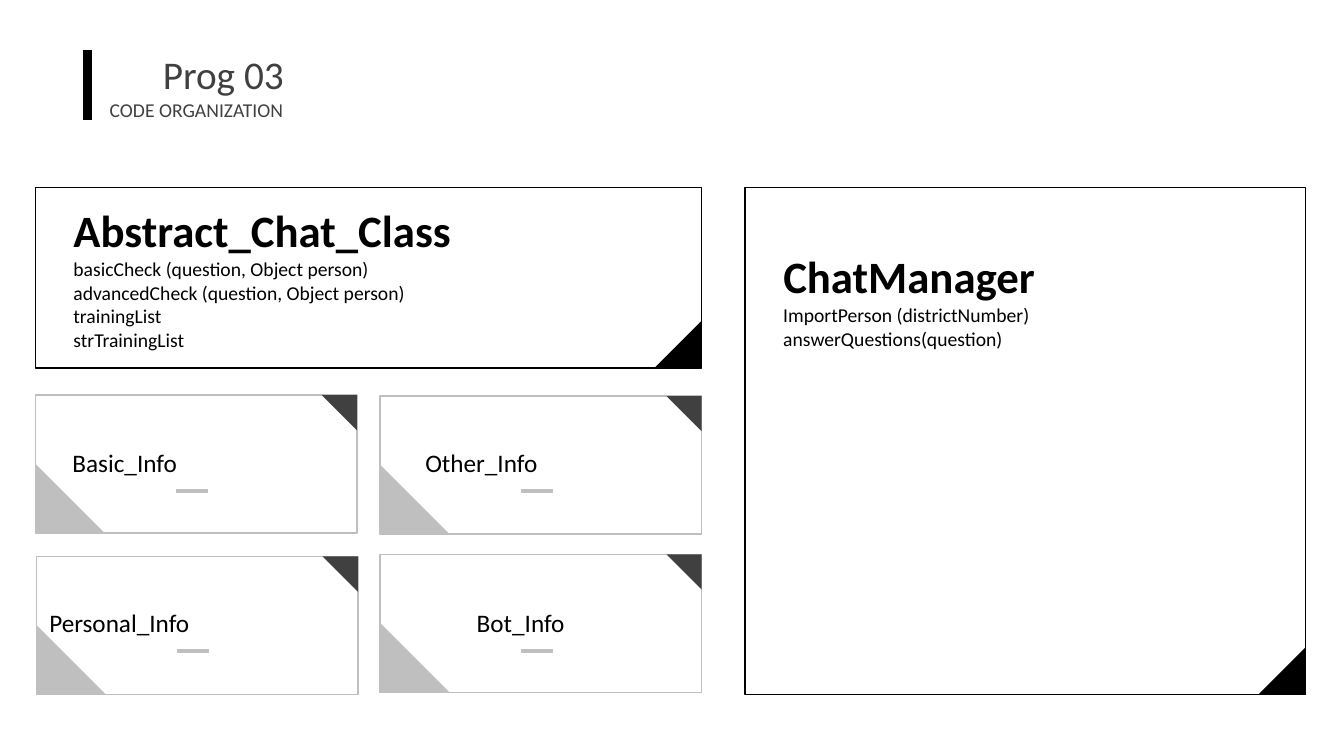
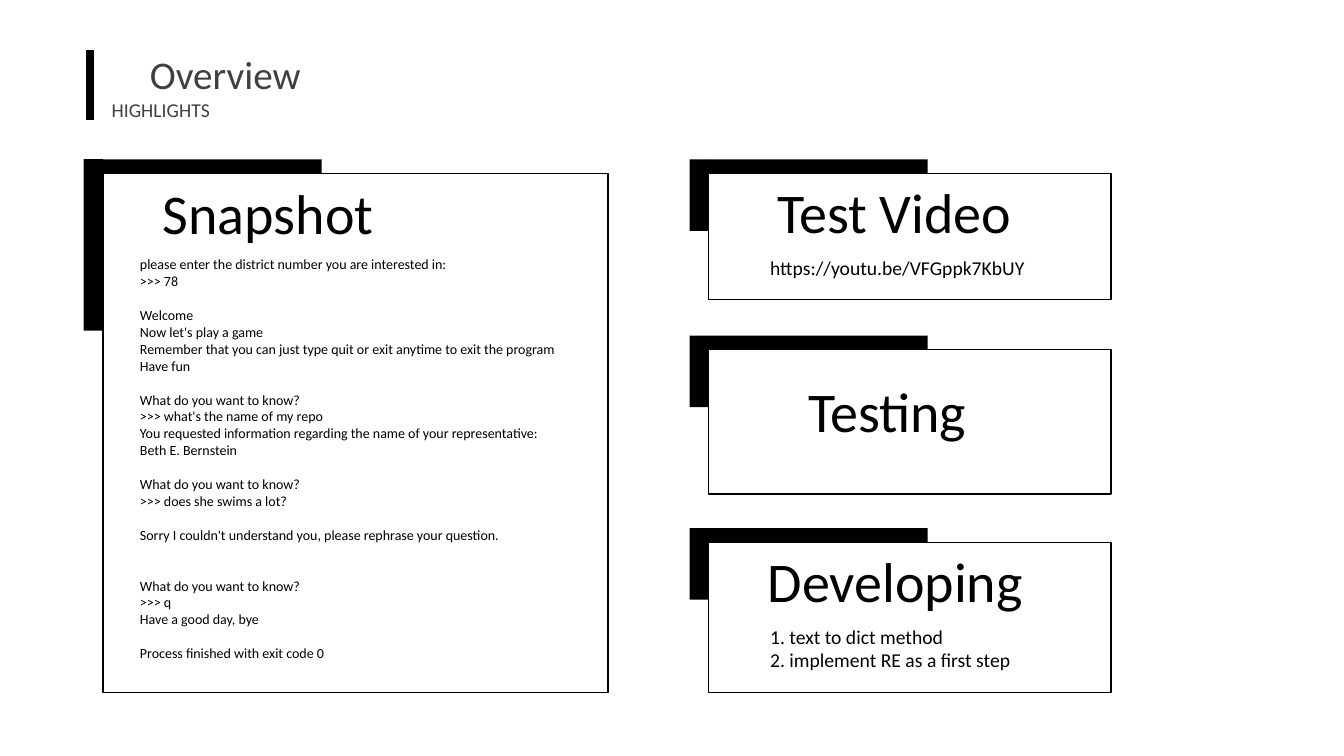
from pptx import Presentation
from pptx.dml.color import RGBColor
from pptx.enum.shapes import MSO_CONNECTOR, MSO_SHAPE
from pptx.enum.text import MSO_ANCHOR, MSO_AUTO_SIZE, PP_ALIGN
from pptx.oxml.xmlchemy import OxmlElement
from pptx.util import Pt

RECT, TRIANGLE = MSO_SHAPE.RECTANGLE, MSO_SHAPE.RIGHT_TRIANGLE
STRAIGHT = MSO_CONNECTOR.STRAIGHT
LEFT, CENTER, JUSTIFY = PP_ALIGN.LEFT, PP_ALIGN.CENTER, PP_ALIGN.JUSTIFY
PX = 9144  # 100 px to the inch
FONT = "Calibri"
BLACK, WHITE, DARK, GREY = "000000", "FFFFFF", "404040", "BFBFBF"
BLOCK_GAP = 12.2  # one line of 10 pt text

# Name, members, box, top of the name
CLASSES = [
    ("Abstract_Chat_Class",
     ["basicCheck (question, Object person)", "advancedCheck (question, Object person)",
      "trainingList", "strTrainingList"],
     (35, 186, 661, 179), 196),
    ("ChatManager",
     ["ImportPerson (districtNumber)", "answerQuestions(question)"],
     (739, 186, 556, 503), 242),
]
# Name, card left, card top, label left, row
INFO_CARDS = [
    ("Basic_Info", 35, 392, 62, 0),
    ("Other_Info", 377, 393, 412, 0),
    ("Personal_Info", 36, 552, 39, 1),
    ("Bot_Info", 377, 550, 463, 1),
]
CARD_W, CARD_H, ROW_PITCH = 319, 137, 159

# Blocks of lines, each with the number of empty lines above it
SNAPSHOT = [
    (0, ["please enter the district number you are interested in:", ">>> 78"]),
    (1, ["Welcome", "Now let's play a game",
         "Remember that you can just type quit or exit anytime to exit the program",
         "Have fun"]),
    (1, ["What do you want to know?", ">>> what's the name of my repo",
         "You requested information regarding the name of your representative:",
         "Beth E. Bernstein"]),
    (1, ["What do you want to know?", ">>> does she swims a lot?"]),
    (1, ["Sorry I couldn't understand you, please rephrase your question."]),
    (2, ["What do you want to know?", ">>> q", "Have a good day, bye"]),
    (1, ["Process finished with exit code 0"]),
]
# Heading, heading place, panel box, height of the side bar, body blocks, body place, body size
PANELS = [
    ("Snapshot", (83, 172), (102, 172, 501, 515), 170, SNAPSHOT, (129, 249, 474, 414), 10),
    ("Test Video", (704, 171), (703, 172, 399, 125), 71,
     [(0, ["https://youtu.be/VFGppk7KbUY"])], (754, 249, 300, 34), 14),
    ("Testing", (697, 369), (703, 347, 399, 143), 71, [], None, 14),
    ("Developing", (705, 537), (703, 538, 399, 149), 71,
     [(0, ["1. text to dict method", "2. implement RE as a first step"])],
     (754, 615, 300, 57), 14),
]


def rgb(value):
    return RGBColor.from_string(value)


def emu(*lengths):
    return [length * PX for length in lengths]


def add_block(slide, kind, box, fill, outline=None, width=1, turn=0):
    block = slide.shapes.add_shape(kind, *emu(*box))
    block.shadow.inherit = False
    block.rotation = turn
    block.fill.solid()
    block.fill.fore_color.rgb = rgb(fill)
    if outline:
        block.line.color.rgb = rgb(outline)
        block.line.width = Pt(width)
    else:
        block.line.fill.background()


def add_rule(slide, start, end, color, width):
    rule = slide.shapes.add_connector(STRAIGHT, *emu(*start, *end))
    rule.line.color.rgb = rgb(color)
    rule.line.width = Pt(width)
    rule._element.spPr.append(OxmlElement("a:effectLst"))


def format_text(shape, size, color, align, bold=False):
    frame = shape.text_frame
    frame.word_wrap = True
    frame.auto_size = MSO_AUTO_SIZE.NONE
    frame.vertical_anchor = MSO_ANCHOR.TOP
    for paragraph in frame.paragraphs:
        paragraph.alignment = align
        for run in paragraph.runs:
            run.font.name = FONT
            run.font.size = Pt(size)
            run.font.bold = bold
            run.font.color.rgb = rgb(color)


def add_text(slide, lines, box, size, color=BLACK, align=JUSTIFY, bold=False):
    label = slide.shapes.add_textbox(*emu(*box))
    label.text_frame.text = "\n".join(lines)
    format_text(label, size, color, align, bold)
    return label


def add_titled_slide(deck, title, subtitle, left):
    """Add a slide whose heading starts with a rule at the given left."""
    slide = deck.slides.add_slide(deck.slide_layouts[5])
    heading = slide.shapes.title
    heading.left, heading.top, heading.width, heading.height = emu(left - 21, 45, 311, 57)
    heading.text_frame.text = title
    format_text(heading, 28, DARK, CENTER)
    add_text(slide, [subtitle], (left + 12, 92, 246, 34), 14, DARK)
    add_rule(slide, (left, 50), (left, 119), BLACK, 6)
    return slide


def add_class(slide, name, members, box, name_top):
    left, top, width, height = box
    corner = 47
    add_block(slide, RECT, box, WHITE, BLACK)
    add_block(slide, TRIANGLE,
              (left + width - corner, top + height - corner, corner, corner), BLACK, turn=270)
    add_text(slide, [name], (left + 28, name_top, 485, 64), 32, align=LEFT, bold=True)
    add_text(slide, members, (left + 28, name_top + 54, 497, 104), 14)


def add_info_card(slide, name, left, top, label_left, row):
    small, large = 35, 69
    shift = row * ROW_PITCH
    add_block(slide, RECT, (left, top, CARD_W, CARD_H), WHITE, GREY)
    add_block(slide, TRIANGLE, (left, top + CARD_H - large, large, large), GREY)
    add_block(slide, TRIANGLE, (left + CARD_W - small, top, small, small), DARK, turn=180)
    add_text(slide, [name], (label_left, 439 + shift, 208, 40), 18)
    add_rule(slide, (left + 140, 487 + shift), (left + 171, 487 + shift), GREY, 3)


def add_panel(slide, heading, place, box, bar_height, blocks, body_box, size):
    left, top = box[:2]
    add_block(slide, RECT, (left, top - 14, 217, 31), BLACK)
    add_block(slide, RECT, (left - 19, top - 14, 19, bar_height), BLACK)
    add_block(slide, RECT, box, WHITE, BLACK)
    add_text(slide, [heading], (*place, 366, 77), 40, align=CENTER)
    if not blocks:
        return
    body = add_text(slide, [line for _, lines in blocks for line in lines], body_box, size)
    first = 0
    for gaps, lines in blocks:
        if gaps:
            body.text_frame.paragraphs[first].space_before = Pt(gaps * BLOCK_GAP)
        first += len(lines)


def main():
    deck = Presentation()
    deck.slide_width, deck.slide_height = emu(1333, 750)

    organization = add_titled_slide(deck, "Prog 03", "CODE ORGANIZATION", 87)
    for entry in CLASSES:
        add_class(organization, *entry)
    for card in INFO_CARDS:
        add_info_card(organization, *card)

    overview = add_titled_slide(deck, "Overview", "HIGHLIGHTS", 89)
    for panel in PANELS:
        add_panel(overview, *panel)

    deck.save("out.pptx")


if __name__ == "__main__":
    main()
